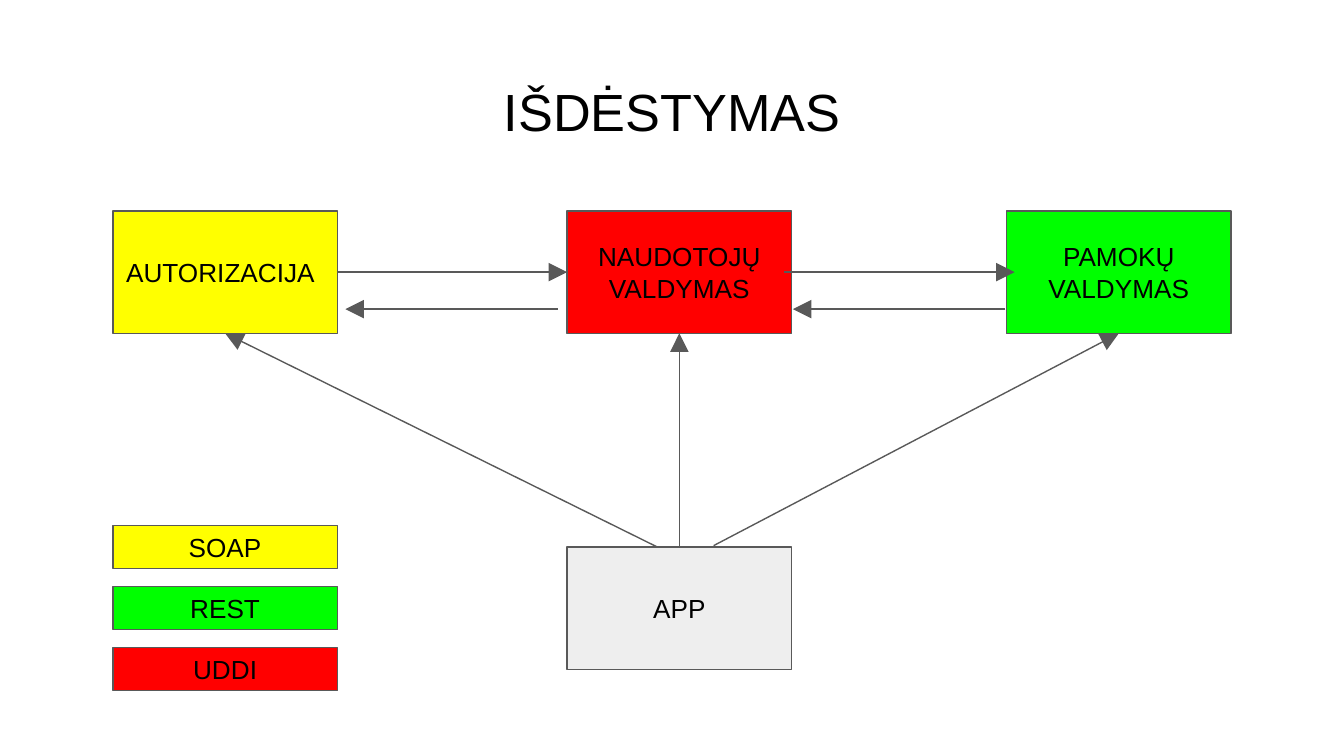
from dataclasses import dataclass
from typing import Optional

from lxml import etree
from pptx import Presentation
from pptx.dml.color import RGBColor
from pptx.enum.shapes import MSO_CONNECTOR, MSO_SHAPE
from pptx.enum.text import MSO_ANCHOR, MSO_AUTO_SIZE, PP_ALIGN
from pptx.oxml.ns import qn
from pptx.util import Inches, Pt

RECT = MSO_SHAPE.RECTANGLE
LINE = MSO_CONNECTOR.STRAIGHT
TOP, MID = MSO_ANCHOR.TOP, MSO_ANCHOR.MIDDLE
LEFT, MIDDLE = PP_ALIGN.LEFT, PP_ALIGN.CENTER
FIXED = MSO_AUTO_SIZE.NONE
NORTH, WEST, SOUTH, EAST = range(4)

COLOR = {"ink": "000000", "edge": "595959", "soap": "FFFF00",
         "rest": "00FF00", "uddi": "FF0000", "app": "EEEEEE"}

PAGE_WIDE = 10
PAGE_HIGH = PAGE_WIDE * 9 / 16
COLS = (0.84, 4.22, 7.49)
ROWS = (1.57, 4.07)
WIDE, HIGH = 1.67, 0.91
KEY_TOP, KEY_STEP, KEY_HIGH = 3.91, 0.455, 0.32
OUT_ROW, BACK_ROW = ROWS[0] + HIGH / 2, 2.3


@dataclass
class Box:
    name: str
    text: str
    fill: str
    left: float
    top: float
    high: float = HIGH
    align: PP_ALIGN = MIDDLE


@dataclass
class Arrow:
    start: tuple[float, float]
    end: tuple[float, float]
    source: Optional[tuple[str, int]] = None
    target: Optional[tuple[str, int]] = None


BOXES = [
    Box("auth", "AUTORIZACIJA", "soap", COLS[0], ROWS[0], align=LEFT),
    Box("user", "NAUDOTOJŲ\nVALDYMAS", "uddi", COLS[1], ROWS[0]),
    Box("app", "APP", "app", COLS[1], ROWS[1]),
    Box("lesson", "PAMOKŲ\vVALDYMAS", "rest", COLS[2], ROWS[0]),
] + [
    Box(key, key.upper(), key, COLS[0], KEY_TOP + i * KEY_STEP, KEY_HIGH)
    for i, key in enumerate(("soap", "rest", "uddi"))
]

BASE = ROWS[0] + HIGH
MIDS = [col + WIDE / 2 for col in COLS]
ARROWS = [
    Arrow((COLS[0] + WIDE, OUT_ROW), (COLS[1], OUT_ROW), ("auth", EAST), ("user", WEST)),
    Arrow((4.15, BACK_ROW), (2.57, BACK_ROW)),
    Arrow((7.48, BACK_ROW), (5.9, BACK_ROW)),
    Arrow((5.83, OUT_ROW), (7.55, OUT_ROW)),
    Arrow((4.89, ROWS[1]), (MIDS[0], BASE), target=("auth", SOUTH)),
    Arrow((MIDS[1], ROWS[1]), (MIDS[1], BASE), ("app", NORTH), ("user", SOUTH)),
    Arrow((5.31, 4.06), (MIDS[2], BASE), target=("lesson", SOUTH)),
]


def tint(name: str) -> RGBColor:
    return RGBColor.from_string(COLOR[name])


def write(shape, text: str, size: int, anchor: MSO_ANCHOR, align: PP_ALIGN) -> None:
    frame = shape.text_frame
    frame.text = text
    frame.word_wrap = True
    frame.auto_size = FIXED
    frame.vertical_anchor = anchor
    frame.margin_left = frame.margin_right = Inches(0.1)
    frame.margin_top = frame.margin_bottom = Inches(0.1)
    for para in frame.paragraphs:
        para.alignment = align
        para.font.name = "Arial"
        para.font.size = Pt(size)
        para.font.color.rgb = tint("ink")


def stroke(line) -> None:
    line.color.rgb = tint("edge")
    line.width = Pt(0.75)


def draw_box(slide, box: Box):
    shape = slide.shapes.add_shape(
        RECT, Inches(box.left), Inches(box.top), Inches(WIDE), Inches(box.high))
    shape.shadow.inherit = False
    shape.fill.solid()
    shape.fill.fore_color.rgb = tint(box.fill)
    stroke(shape.line)
    write(shape, box.text, 14, MID, box.align)
    return shape


def draw_arrow(slide, arrow: Arrow, nodes: dict) -> None:
    ends = [Inches(n) for n in arrow.start + arrow.end]
    link = slide.shapes.add_connector(LINE, *ends)
    if arrow.source:
        name, side = arrow.source
        link.begin_connect(nodes[name], side)
    if arrow.target:
        name, side = arrow.target
        link.end_connect(nodes[name], side)
    stroke(link.line)
    props = link._element.spPr
    etree.SubElement(props.find(qn("a:ln")), qn("a:tailEnd"),
                     type="triangle", w="lg", len="lg")
    etree.SubElement(props, qn("a:effectLst"))


def main() -> None:
    deck = Presentation()
    deck.slide_width, deck.slide_height = Inches(PAGE_WIDE), Inches(PAGE_HIGH)
    slide = deck.slides.add_slide(deck.slide_layouts[5])
    title = slide.shapes.title
    title.left, title.top = Inches(0.34), Inches(0.49)
    title.width, title.height = Inches(9.32), Inches(0.63)
    write(title, "IŠDĖSTYMAS", 28, TOP, MIDDLE)
    nodes = {box.name: draw_box(slide, box) for box in BOXES}
    for arrow in ARROWS:
        draw_arrow(slide, arrow, nodes)
    deck.save("out.pptx")


if __name__ == "__main__":
    main()
